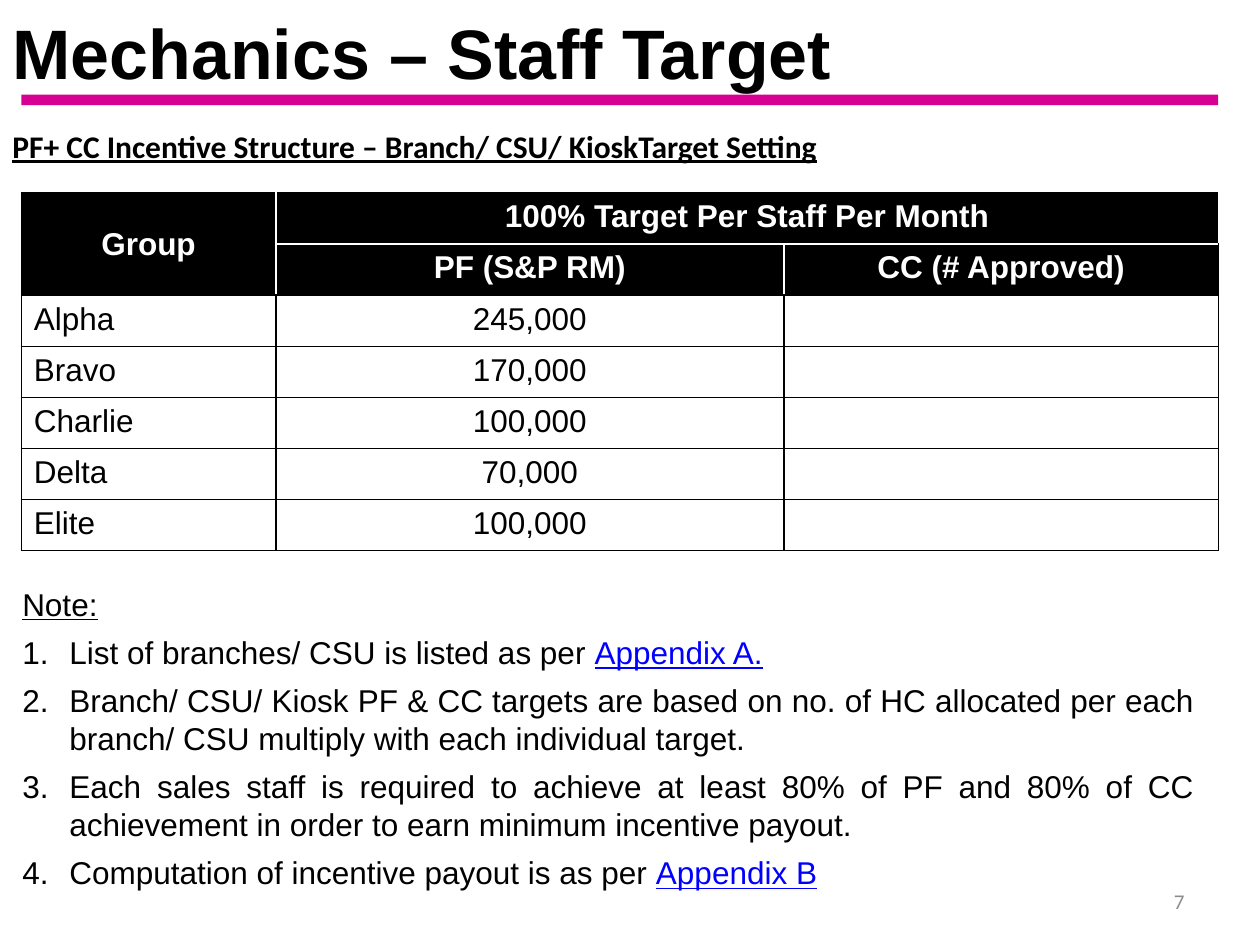
from lxml import etree
from pptx import Presentation, util as u
from pptx.dml.color import RGBColor
from pptx.enum import shapes, text
from pptx.oxml.ns import qn

BLACK, WHITE, MAGENTA, BLUE, GREY = "000000", "FFFFFF", "D60093", "0000FF", "8C8C8C"
LEFT, CENTER, RIGHT, JUSTIFY = (text.PP_ALIGN.LEFT, text.PP_ALIGN.CENTER,
                                text.PP_ALIGN.RIGHT, text.PP_ALIGN.JUSTIFY)
MIDDLE, TOP = text.MSO_ANCHOR.MIDDLE, text.MSO_ANCHOR.TOP

GROUPS = [("Alpha", "245,000"), ("Bravo", "170,000"), ("Charlie", "100,000"),
          ("Delta", "70,000"), ("Elite", "100,000")]
# Each note: plain text, then a reference shown in blue
NOTES = [
    ("List of branches/ CSU is listed as per ", "Appendix A."),
    ("Branch/ CSU/ Kiosk PF & CC targets are based on no. of HC allocated per each "
     "branch/ CSU multiply with each individual target.", ""),
    ("Each sales staff is required to achieve at least 80% of PF and 80% of CC "
     "achievement in order to earn minimum incentive payout.", ""),
    ("Computation of incentive payout is as per ", "Appendix B"),
]


def color(value):
    return RGBColor.from_string(value)


def style(font, size=18, name="Arial", fill=BLACK, bold=False, underline=None):
    font.size, font.name, font.bold, font.underline = u.Pt(size), name, bold, underline
    font.color.rgb = color(fill)


def add_text(s, box, anchor=MIDDLE):
    tf = s.shapes.add_textbox(*map(u.Cm, box)).text_frame
    tf.word_wrap, tf.vertical_anchor = True, anchor
    return tf


def add_line(s, box, content, align=LEFT, **font):
    p = add_text(s, box).paragraphs[0]
    p.text, p.alignment = content, align
    style(p.font, **font)


def add_title(s, x, y, w):
    add_line(s, (x, y, 18.85, 2.08), "Mechanics – Staff Target", size=40, bold=True)
    bar = s.shapes.add_shape(shapes.MSO_SHAPE.RECTANGLE, u.Cm(x + 0.43), u.Cm(y + 1.91),
                             u.Cm(w), u.Cm(0.21))
    bar.shadow.inherit = False
    bar.fill.solid()
    bar.fill.fore_color.rgb = color(MAGENTA)
    bar.line.fill.background()


def set_borders(cell, colors):
    tcPr = cell._tc.get_or_add_tcPr()
    for i, (side, value) in enumerate(zip("LRTB", colors)):
        ln = etree.Element(qn(f"a:ln{side}"), w=str(u.Pt(1)))
        fill = etree.SubElement(ln, qn("a:solidFill"))
        etree.SubElement(fill, qn("a:srgbClr"), val=value)
        tcPr.insert(i, ln)


def add_target_table(s, x, y, col_widths, row_height):
    rows = [("Group", "100% Target Per Staff Per Month", ""),
            ("", "PF (S&P RM)", "CC (# Approved)")]
    rows += [(group, target, "") for group, target in GROUPS]
    table = s.shapes.add_table(len(rows), 3, u.Cm(x), u.Cm(y), u.Cm(sum(col_widths)),
                               u.Cm(row_height * len(rows))).table
    table.horz_banding = False
    for column, width in zip(table.columns, col_widths):
        column.width = u.Cm(width)
    for r, values in enumerate(rows):
        table.rows[r].height = u.Cm(row_height)
        header = r < 2
        for c, value in enumerate(values):
            cell = table.cell(r, c)
            # Lines inside the header are white, all others black
            set_borders(cell, [WHITE if header and inner else BLACK
                               for inner in (c > 0, c < 2, r == 1 and c > 0, r == 0 and c > 0)])
            if header:
                cell.fill.solid()
                cell.fill.fore_color.rgb = color(BLACK)
            else:
                cell.fill.background()
            p = cell.text_frame.paragraphs[0]
            p.text = value
            p.alignment = CENTER if header or c else LEFT
            style(p.font, fill=WHITE if header else BLACK, bold=header)
    table.cell(0, 0).merge(table.cell(1, 0))
    table.cell(0, 1).merge(table.cell(0, 2))
    table.cell(0, 0).vertical_anchor = MIDDLE


def add_notes(s, box):
    tf = add_text(s, box, TOP)
    p = tf.paragraphs[0]
    p.text, p.space_after = "Note:", u.Pt(6)
    style(p.font, underline=True)
    for plain, reference in NOTES:
        p = tf.add_paragraph()
        p.alignment, p.space_after = JUSTIFY, u.Pt(6)
        style(p.font)
        # Automatic numbering with a hanging indent
        pPr = p._p.get_or_add_pPr()
        indent = u.Cm(0.95)
        pPr.set("marL", str(indent))
        pPr.set("indent", str(-indent))
        number = etree.Element(qn("a:buAutoNum"), type="arabicPeriod")
        pPr.find(qn("a:defRPr")).addprevious(number)
        p.add_run().text = plain
        if reference:
            r = p.add_run()
            r.text = reference
            style(r.font, fill=BLUE, underline=True)
    # Paragraph defaults are repeated on the runs for renderers that skip them


prs = Presentation()
prs.slide_width, prs.slide_height = u.Cm(25.4), u.Cm(19.05)
s = prs.slides.add_slide(prs.slide_layouts[6])

# Heading
add_line(s, (0, 2.11, 22.02, 1.65),
         "PF+ CC Incentive Structure – Branch/ CSU/ KioskTarget Setting",
         name="Calibri", bold=True, underline=True)
# Targets and notes
add_target_table(s, 0.43, 3.89, (5.13, 10.24, 8.76), 1.03)
add_notes(s, (0.2, 11.66, 24.13, 6.5))
# Title and page number
add_title(s, 0, 0, 24.13)
add_line(s, (18.21, 17.65, 5.92, 1.02), "7", RIGHT, size=12, name="Calibri", fill=GREY)

prs.save("out.pptx")
